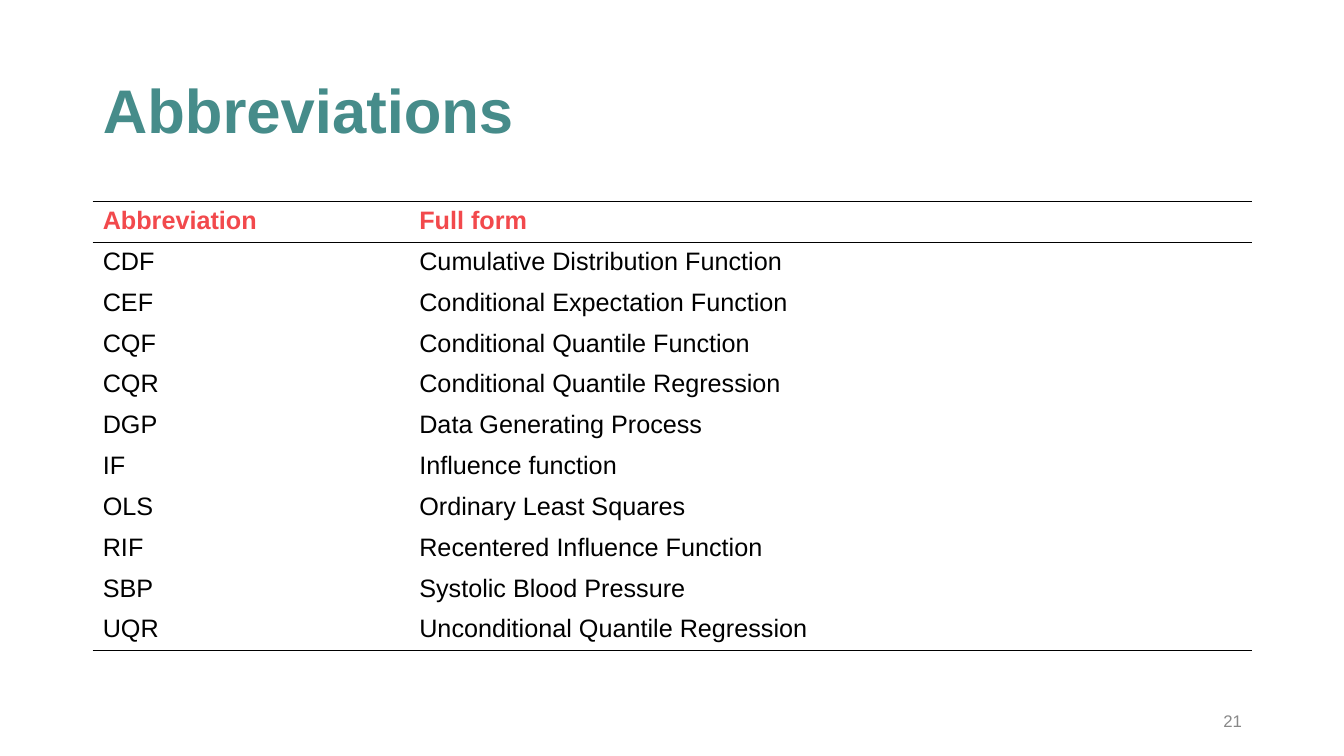
from typing import NamedTuple

from lxml.etree import SubElement
from pptx import Presentation
from pptx.dml.color import RGBColor
from pptx.enum.text import MSO_ANCHOR, PP_ALIGN
from pptx.oxml.ns import qn
from pptx.util import Emu, Inches, Pt

TEAL = RGBColor(0x46, 0x8C, 0x8A)
CORAL = RGBColor(0xF2, 0x49, 0x4C)
BLACK = RGBColor(0, 0, 0)
GREY = RGBColor(0x88, 0x88, 0x88)
FONT_NAME = "Arial"
SLIDE_WIDTH, SLIDE_HEIGHT = Inches(13.333), Inches(7.5)


class Box(NamedTuple):
    left: float
    top: float
    width: float
    height: float

    def lengths(self) -> tuple[Emu, Emu, Emu, Emu]:
        return (
            Emu(round(self.left * SLIDE_WIDTH)),
            Emu(round(self.top * SLIDE_HEIGHT)),
            Emu(round(self.width * SLIDE_WIDTH)),
            Emu(round(self.height * SLIDE_HEIGHT)),
        )


class TextStyle(NamedTuple):
    size: int
    color: RGBColor
    bold: bool = False


class Entry(NamedTuple):
    abbreviation: str
    full_form: str


MARGIN = 0.92 / 13.333
CONTENT_WIDTH = 11.5 / 13.333
TITLE_BOX = Box(MARGIN, 0.4 / 7.5, CONTENT_WIDTH, 1.45 / 7.5)
GLOSSARY_BOX = Box(MARGIN, 2 / 7.5, CONTENT_WIDTH, 4.46 / 7.5)
PAGE_NUMBER_BOX = Box(9.42 / 13.333, 6.95 / 7.5, 3 / 13.333, 0.4 / 7.5)
ABBREVIATION_SHARE = 3.14 / 11.5

TITLE_STYLE = TextStyle(44, TEAL, True)
HEADING_STYLE = TextStyle(18, CORAL, True)
ENTRY_STYLE = TextStyle(18, BLACK)
PAGE_NUMBER_STYLE = TextStyle(12, GREY)

HEADING = Entry("Abbreviation", "Full form")
ENTRIES = [
    Entry("CDF", "Cumulative Distribution Function"),
    Entry("CEF", "Conditional Expectation Function"),
    Entry("CQF", "Conditional Quantile Function"),
    Entry("CQR", "Conditional Quantile Regression"),
    Entry("DGP", "Data Generating Process"),
    Entry("IF", "Influence function"),
    Entry("OLS", "Ordinary Least Squares"),
    Entry("RIF", "Recentered Influence Function"),
    Entry("SBP", "Systolic Blood Pressure"),
    Entry("UQR", "Unconditional Quantile Regression"),
]


def add_run(paragraph, text: str, style: TextStyle) -> None:
    run = paragraph.add_run()
    run.text = text
    run.font.name = FONT_NAME
    run.font.size = Pt(style.size)
    run.font.bold = style.bold
    run.font.color.rgb = style.color


def rule_cell(cell, ruled_sides: set[str]) -> None:
    properties = cell._tc.get_or_add_tcPr()
    for side in ("lnL", "lnR", "lnT", "lnB"):
        line = SubElement(properties, qn(f"a:{side}"), w=str(Pt(1)))
        if side in ruled_sides:
            fill = SubElement(line, qn("a:solidFill"))
            SubElement(fill, qn("a:srgbClr"), val=str(BLACK))
        else:
            SubElement(line, qn("a:noFill"))
    cell.fill.background()


def add_title(slide, text: str) -> None:
    title = slide.shapes.title
    title.left, title.top, title.width, title.height = TITLE_BOX.lengths()
    title.text_frame.vertical_anchor = MSO_ANCHOR.MIDDLE
    paragraph = title.text_frame.paragraphs[0]
    paragraph.alignment = PP_ALIGN.LEFT
    paragraph.line_spacing = 0.9
    add_run(paragraph, text, TITLE_STYLE)


def add_glossary(slide, entries: list[Entry]) -> None:
    rows = [HEADING, *entries]
    left, top, width, height = GLOSSARY_BOX.lengths()
    glossary = slide.shapes.add_table(len(rows), 2, left, top, width, height).table
    glossary.first_row = False
    glossary.horz_banding = False
    abbreviation_width = round(width * ABBREVIATION_SHARE)
    glossary.columns[0].width = Emu(abbreviation_width)
    glossary.columns[1].width = Emu(width - abbreviation_width)

    ruled_sides = {0: {"lnT", "lnB"}, 1: {"lnT"}, len(rows) - 1: {"lnB"}}
    for row_index, entry in enumerate(rows):
        style = ENTRY_STYLE if row_index else HEADING_STYLE
        for column_index, text in enumerate(entry):
            cell = glossary.cell(row_index, column_index)
            rule_cell(cell, ruled_sides.get(row_index, set()))
            add_run(cell.text_frame.paragraphs[0], text, style)


def add_page_number(slide, number: str) -> None:
    frame = slide.shapes.add_textbox(*PAGE_NUMBER_BOX.lengths()).text_frame
    frame.word_wrap = True
    frame.vertical_anchor = MSO_ANCHOR.MIDDLE
    paragraph = frame.paragraphs[0]
    paragraph.alignment = PP_ALIGN.RIGHT
    add_run(paragraph, number, PAGE_NUMBER_STYLE)


def main() -> None:
    presentation = Presentation()
    presentation.slide_width = SLIDE_WIDTH
    presentation.slide_height = SLIDE_HEIGHT
    slide = presentation.slides.add_slide(presentation.slide_layouts[5])
    add_title(slide, "Abbreviations")
    add_glossary(slide, ENTRIES)
    add_page_number(slide, "21")
    presentation.save("out.pptx")


if __name__ == "__main__":
    main()
